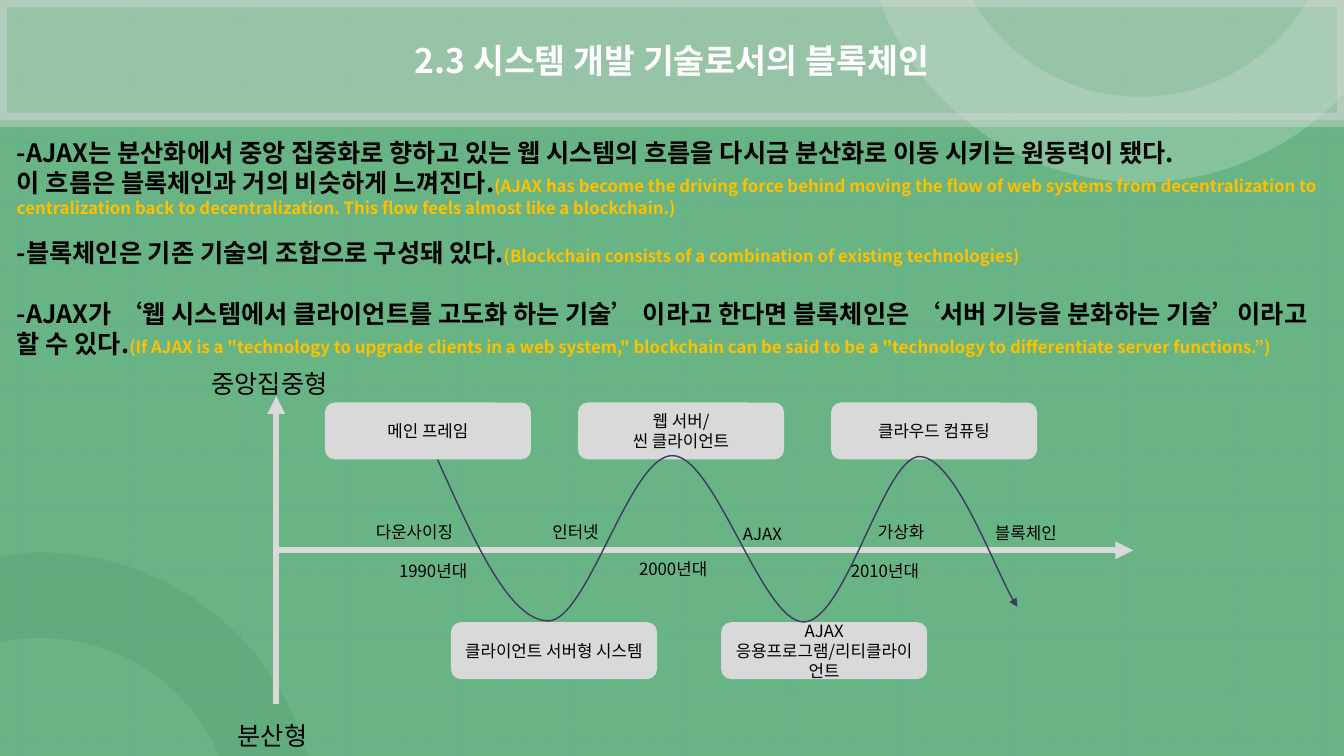
from dataclasses import dataclass

from lxml.etree import SubElement
from pptx import Presentation
from pptx.dml.color import RGBColor
from pptx.enum.dml import MSO_LINE
from pptx.enum.shapes import MSO_CONNECTOR, MSO_SHAPE
from pptx.enum.text import MSO_ANCHOR, PP_ALIGN
from pptx.oxml.ns import qn
from pptx.util import Inches, Pt


@dataclass(frozen=True)
class Theme:
    font: str = "Noto Sans CJK KR"
    title_size: int = 24
    body_size: int = 18
    small_size: int = 12
    green: RGBColor = RGBColor(0x68, 0xB4, 0x84)
    dark_green: RGBColor = RGBColor(0x47, 0x8E, 0x61)
    light_green: RGBColor = RGBColor(0xA4, 0xD2, 0xB5)
    grid: RGBColor = RGBColor(0x6A, 0x90, 0xCE)
    gray: RGBColor = RGBColor(0xD9, 0xD9, 0xD9)
    wave: RGBColor = RGBColor(0x3C, 0x3A, 0x5E)
    black: RGBColor = RGBColor(0, 0, 0)
    white: RGBColor = RGBColor(0xFF, 0xFF, 0xFF)
    amber: RGBColor = RGBColor(0xFF, 0xC0, 0x00)


theme = Theme()


def add_run(paragraph, text, size, color, bold=False):
    run = paragraph.add_run()
    run.text = text
    run.font.name = theme.font
    run.font.size = Pt(size)
    run.font.bold = bold
    run.font.color.rgb = color


def add_curve(shapes, start, segments, close):
    """Draw an outline whose segments hold one point (straight) or three (cubic Bézier)."""
    builder = shapes.build_freeform(Inches(start[0]), Inches(start[1]))
    corners = [segment[-1] for segment in segments]
    builder.add_line_segments([(Inches(x), Inches(y)) for x, y in corners], close=close)
    shape = builder.convert_to_shape()
    shape.shadow.inherit = False
    straight_parts = list(shape._element.spPr.iter(qn("a:lnTo")))
    for part, segment in zip(straight_parts, segments):
        if len(segment) == 3:
            part.clear()
            part.tag = qn("a:cubicBezTo")
            for x, y in segment:
                SubElement(part, qn("a:pt"), x=str(Inches(x) - shape.left), y=str(Inches(y) - shape.top))
    return shape


presentation = Presentation()
presentation.slide_width = Inches(13.33)
presentation.slide_height = Inches(7.5)
slide = presentation.slides.add_slide(presentation.slide_layouts[6])
shapes = slide.shapes
slide.background.fill.solid()
slide.background.fill.fore_color.rgb = theme.green

connectors = []
arrows = []
translucent = []

# Background grid
columns = [0.2 + 1.0935 * index for index in range(12)] + [13.11]
rows = [0.19 + 0.609 * index for index in range(11)] + [6.83, 7.31]
grid_lines = [(x, 0, x, 7.5) for x in columns] + [(0, y, 13.33, y) for y in rows]
for ends in grid_lines:
    grid_line = shapes.add_connector(MSO_CONNECTOR.STRAIGHT, *map(Inches, ends))
    grid_line.line.color.rgb = theme.grid
    grid_line.line.width = Pt(1.5)
    grid_line.line.dash_style = MSO_LINE.ROUND_DOT
    connectors.append(grid_line)
    translucent.append((grid_line, 20))

# Corner rings
rings = [
    ((0.4, 5.48), [
        [(1.64, 5.48), (2.69, 6.3), (3.03, 7.42)], [(3.06, 7.5)], [(2.17, 7.5)], [(2.17, 7.49)],
        [(1.88, 6.81), (1.2, 6.33), (0.4, 6.33)], [(0.27, 6.33), (0.14, 6.34), (0.02, 6.37)],
        [(-0.01, 6.37)], [(-0.01, 5.52)], [(0.12, 5.5)], [(0.21, 5.49), (0.31, 5.48), (0.4, 5.48)],
    ], theme.dark_green, 20),
    ((8.73, 0), [
        [(9.65, 0)], [(9.72, 0.12)], [(10.07, 0.63), (10.65, 0.96), (11.31, 0.96)],
        [(11.97, 0.96), (12.55, 0.63), (12.9, 0.12)], [(12.97, 0)], [(13.33, 0)], [(13.33, 0.92)],
        [(13.26, 1)], [(12.76, 1.5), (12.07, 1.81), (11.31, 1.81)],
        [(10.17, 1.81), (9.19, 1.11), (8.77, 0.12)],
    ], theme.light_green, 50),
]
for start, segments, color, opacity in rings:
    ring = add_curve(shapes, start, segments, close=True)
    ring.fill.solid()
    ring.fill.fore_color.rgb = color
    ring.line.fill.background()
    translucent.append((ring, opacity))

# Title band
title = shapes.add_shape(MSO_SHAPE.RECTANGLE, 0, 0, Inches(13.33), Inches(1.19))
title.shadow.inherit = False
title.fill.solid()
title.fill.fore_color.rgb = theme.gray
title.line.color.rgb = theme.gray
title.line.width = Pt(10)
translucent.append((title, 42))
title.text_frame.vertical_anchor = MSO_ANCHOR.MIDDLE
title_paragraph = title.text_frame.paragraphs[0]
title_paragraph.alignment = PP_ALIGN.CENTER
add_run(title_paragraph, "2.3 시스템 개발 기술로서의 블록체인", theme.title_size, theme.white, True)

# Body: Korean statement, English translation, space before
statements = [
    ("-AJAX는 분산화에서 중앙 집중화로 향하고 있는 웹 시스템의 흐름을 다시금 분산화로 이동 시키는 원동력이 됐다.", "", 0),
    ("이 흐름은 블록체인과 거의 비슷하게 느껴진다.",
     "(AJAX has become the driving force behind moving the flow of web systems from decentralization "
     "to centralization back to decentralization. This flow feels almost like a blockchain.)", 0),
    ("-블록체인은 기존 기술의 조합으로 구성돼 있다.",
     "(Blockchain consists of a combination of existing technologies)", 14.4),
    ("-AJAX가 ‘웹 시스템에서 클라이언트를 고도화 하는 기술’ 이라고 한다면 블록체인은 "
     "‘서버 기능을 분화하는 기술’이라고 할 수 있다.",
     "(If AJAX is a \"technology to upgrade clients in a web system,\" blockchain can be said to be "
     "a \"technology to differentiate server functions.”)", 21.7),
]
body = shapes.add_textbox(Inches(0.07), Inches(1.31), Inches(13.2), Inches(2.83)).text_frame
body.word_wrap = True
for index, (korean, english, gap) in enumerate(statements):
    paragraph = body.add_paragraph() if index else body.paragraphs[0]
    paragraph.space_before = Pt(gap)
    add_run(paragraph, korean, theme.body_size, theme.black, True)
    if english:
        add_run(paragraph, english, theme.small_size, theme.amber, True)

# Axes
for ends in [(2.74, 6.98, 2.74, 3.93), (2.74, 5.46, 11.24, 5.46)]:
    axis = shapes.add_connector(MSO_CONNECTOR.STRAIGHT, *map(Inches, ends))
    axis.line.color.rgb = theme.gray
    axis.line.width = Pt(4.25)
    connectors.append(axis)
    arrows.append(axis)

# Technology boxes above and below the time axis
upper, lower = 4, 6.18
technologies = [
    (3.23, upper, ["메인 프레임"]),
    (4.48, lower, ["클라이언트 서버형 시스템"]),
    (5.74, upper, ["웹 서버/", "씬 클라이언트"]),
    (7.16, lower, ["AJAX 응용프로그램/리티클라이언트"]),
    (8.25, upper, ["클라우드 컴퓨팅"]),
]
for left, top, lines in technologies:
    box = shapes.add_shape(
        MSO_SHAPE.ROUNDED_RECTANGLE, Inches(left), Inches(top), Inches(2.03), Inches(0.55))
    box.shadow.inherit = False
    box.fill.solid()
    box.fill.fore_color.rgb = theme.gray
    box.line.color.rgb = theme.gray
    box.line.width = Pt(1)
    frame = box.text_frame
    frame.word_wrap = True
    frame.vertical_anchor = MSO_ANCHOR.MIDDLE
    for index, line in enumerate(lines):
        paragraph = frame.add_paragraph() if index else frame.paragraphs[0]
        paragraph.alignment = PP_ALIGN.CENTER
        add_run(paragraph, line, theme.small_size, theme.black)

# Wave between centralized and distributed
wave = add_curve(shapes, (4.34, 4.56), [
    [(4.7, 5.36), (5.05, 6.16), (5.44, 6.16)], [(5.83, 6.15), (6.25, 4.51), (6.67, 4.52)],
    [(7.09, 4.52), (7.56, 6.17), (7.97, 6.17)], [(8.38, 6.17), (8.76, 4.56), (9.11, 4.53)],
    [(9.46, 4.51), (9.9, 5.75), (10.09, 6.02)],
], close=False)
wave.fill.background()
wave.line.color.rgb = theme.wave
wave.line.width = Pt(1)
arrows.append(wave)

# Diagram labels
labels = [
    ("중앙집중형", 2, 3.6, theme.body_size), ("분산형", 2.26, 7.1, theme.body_size),
    ("인터넷", 5.38, 5.13, theme.small_size), ("1990년대", 3.86, 5.51, theme.small_size),
    ("2000년대", 6.24, 5.49, theme.small_size), ("다운사이징", 3.63, 5.13, theme.small_size),
    ("AJAX", 7.27, 5.15, theme.small_size), ("2010년대", 8.34, 5.51, theme.small_size),
    ("가상화", 8.61, 5.13, theme.small_size), ("블록체인", 9.77, 5.14, theme.small_size),
]
for text, left, top, size in labels:
    label = shapes.add_textbox(Inches(left), Inches(top), Inches(1.56), Inches(size / 45))
    label.text_frame.word_wrap = True
    add_run(label.text_frame.paragraphs[0], text, size, theme.black)

# Effects that need XML
for shape, opacity in translucent:
    for color in shape._element.spPr.iter(qn("a:srgbClr")):
        SubElement(color, qn("a:alpha"), val=str(opacity * 1000))
for shape in arrows:
    SubElement(shape._element.spPr.find(qn("a:ln")), qn("a:tailEnd"), type="triangle")
for connector in connectors:
    SubElement(connector._element.spPr, qn("a:effectLst"))

presentation.save("out.pptx")
